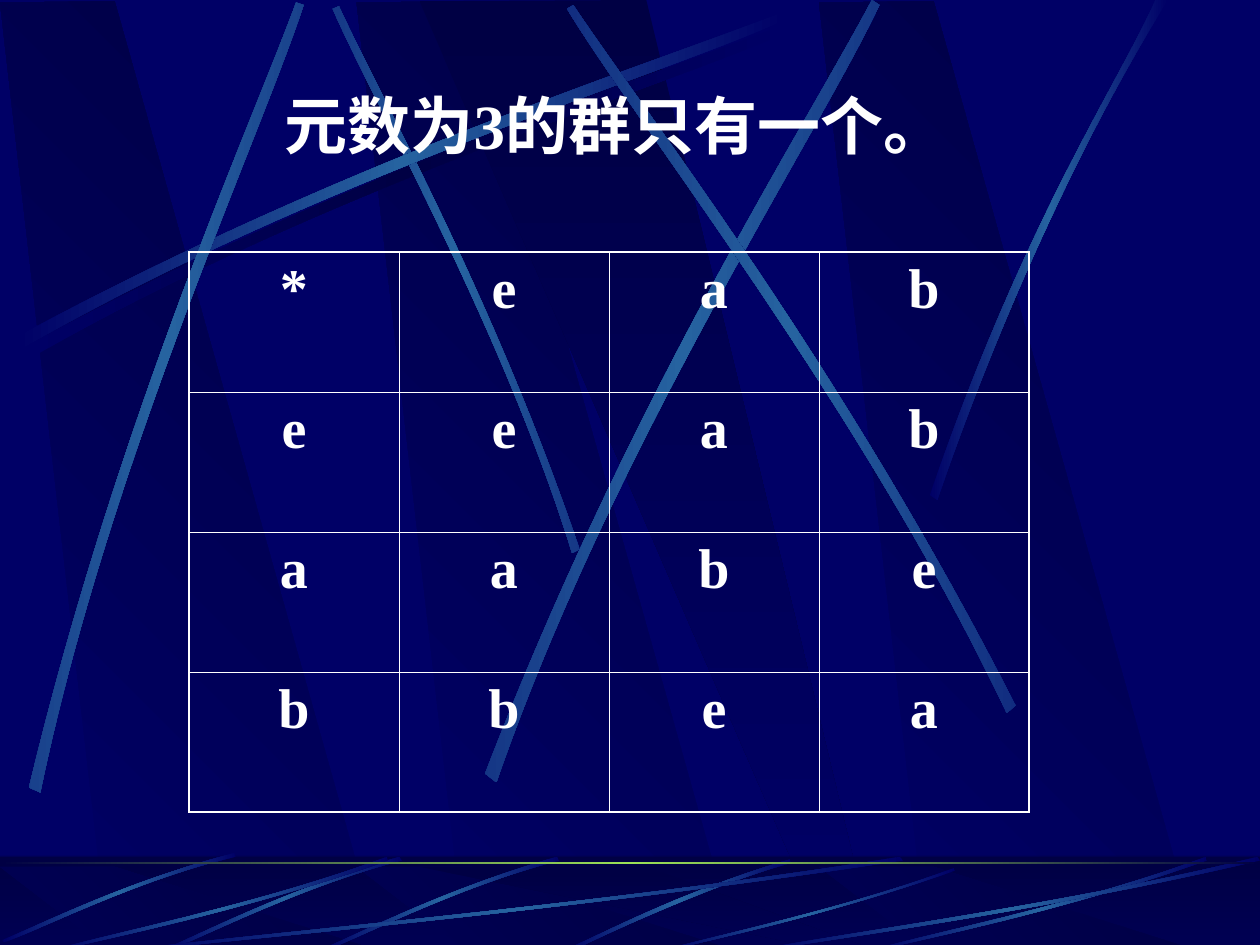
from math import cos, radians, sin

from lxml import etree
from pptx import Presentation
from pptx.dml.color import RGBColor as RGB
from pptx.enum.shapes import MSO_SHAPE as SHAPE
from pptx.enum.text import MSO_AUTO_SIZE as AUTO, PP_ALIGN as ALIGN
from pptx.oxml import parse_xml
from pptx.oxml.ns import nsdecls, qn
from pptx.util import Inches, Pt

COLORS = {"blue": "000066", "dark": "000044", "streak": "2663A0",
          "lime": "9CE157", "white": "FFFFFF"}
FONT = "Times New Roman"
STREAK = ("blue", "streak", "blue")
FADE_OUT, FADE_IN = ("blue", "dark"), ("dark", "blue")


def shift(points, dx, dy=0):
    return [(x + dx, y + dy) for x, y in points]


def centre(points):
    """Centre of the bounding box."""
    return tuple((min(v) + max(v)) / 2 for v in zip(*points))


def turn(points, angle, pivot):
    """Rotate points clockwise about the pivot."""
    (cx, cy), c, s = pivot, cos(radians(angle)), sin(radians(angle))
    return [(cx + (x - cx) * c - (y - cy) * s, cy + (x - cx) * s + (y - cy) * c)
            for x, y in points]


def unrotated(points, rotation):
    """Outline that lands on the points once its shape is rotated about its own centre."""
    pivot = centre(points)
    flat = turn(points, -rotation, pivot)
    old = centre(flat)
    new = turn([old], rotation, pivot)[0]
    return shift(flat, new[0] - old[0], new[1] - old[1])


class SlideBuilder:
    def __init__(self, slide):
        self.slide = slide
        self.shapes = slide.shapes

    def background(self, color):
        fill = self.slide.background.fill
        fill.solid()
        fill.fore_color.rgb = RGB.from_string(COLORS[color])

    def gradient(self, sp, colors, angle):
        """Fill with evenly spaced colours, angle clockwise in degrees."""
        step = 100000 // (len(colors) - 1)
        stops = "".join(f'<a:gs pos="{i * step}"><a:srgbClr val="{COLORS[c]}"/></a:gs>'
                        for i, c in enumerate(colors))
        grad = parse_xml(f'<a:gradFill rotWithShape="1" {nsdecls("a")}><a:gsLst>{stops}</a:gsLst>'
                         f'<a:lin ang="{round(angle * 60000)}" scaled="0"/></a:gradFill>')
        geometry = sp._element.spPr.find(qn("a:custGeom"))
        if geometry is None:
            geometry = sp._element.spPr.find(qn("a:prstGeom"))
        geometry.addnext(grad)
        sp.line.fill.background()
        sp.shadow.inherit = False

    def polygon(self, points, colors, angle=0):
        start, *rest = [(Inches(x), Inches(y)) for x, y in points]
        builder = self.shapes.build_freeform(*start)
        builder.add_line_segments(rest)
        sp = builder.convert_to_shape()
        self.gradient(sp, colors, angle)
        return sp

    def ribbon(self, points, rotation=0, colors=STREAK):
        """Two facing cubic curves (four points each); the gradient stays level."""
        sp = self.polygon(unrotated(points, rotation), colors, -rotation % 360)
        sp.rotation = rotation
        lines = sp._element.spPr.findall(".//" + qn("a:lnTo"))
        for first in (0, 4):
            curve = etree.Element(qn("a:cubicBezTo"))
            lines[first].addprevious(curve)
            for line in lines[first:first + 3]:
                curve.append(line[0])
                line.getparent().remove(line)

    def bar(self, top, height, colors, angle=0, alpha=None):
        """Full-width bar; one colour with alpha (percent), or a gradient."""
        sp = self.shapes.add_shape(SHAPE.RECTANGLE, 0, Inches(top), Inches(10), Inches(height))
        if alpha is None:
            self.gradient(sp, colors, angle)
            return
        sp.fill.solid()
        sp.fill.fore_color.rgb = RGB.from_string(COLORS[colors])
        color = sp._element.spPr.find(".//" + qn("a:srgbClr"))
        etree.SubElement(color, qn("a:alpha")).set("val", str(alpha * 1000))
        sp.line.fill.background()
        sp.shadow.inherit = False

    def run(self, p, text, size):
        r = p.add_run()
        r.text = text
        r.font.size, r.font.bold, r.font.name = Pt(size), True, FONT
        r.font.color.rgb = RGB.from_string(COLORS["white"])

    def title(self, left, top, width, height, text):
        box = self.shapes.add_textbox(Inches(left), Inches(top), Inches(width), Inches(height))
        tf = box.text_frame
        tf.word_wrap = False
        tf.auto_size = AUTO.SHAPE_TO_FIT_TEXT
        self.run(tf.paragraphs[0], text, 36)

    def borders(self, cell, widths):
        tc_pr = cell._tc.get_or_add_tcPr()
        for side, width in widths.items():
            tc_pr.append(parse_xml(
                f'<a:ln{side} w="{Pt(width)}" {nsdecls("a")}><a:solidFill>'
                f'<a:srgbClr val="{COLORS["white"]}"/></a:solidFill></a:ln{side}>'))

    def table(self, left, top, width, height, rows, outer=1.08, inner=0.45):
        n_rows, n_cols = len(rows), len(rows[0])
        table = self.shapes.add_table(n_rows, n_cols, Inches(left), Inches(top),
                                      Inches(width), Inches(height)).table
        table.first_row = table.horz_banding = False
        for i, row in enumerate(rows):
            for j, text in enumerate(row):
                cell = table.cell(i, j)
                edges = {"L": j == 0, "R": j == n_cols - 1, "T": i == 0, "B": i == n_rows - 1}
                self.borders(cell, {k: outer if edge else inner for k, edge in edges.items()})
                cell.fill.background()
                p = cell.text_frame.paragraphs[0]
                p.alignment = ALIGN.CENTER
                self.run(p, text, 32)


def draw_panels(s, panel, wedge):
    for dx in (2.83, 0, 6.5):
        s.polygon(shift(panel, dx), FADE_OUT, 315)
    s.polygon(wedge, FADE_IN, 90)


def draw_upper_streaks(s):
    long_streak = [(0.14, 2.67), (2.78, 1.25), (5.18, 0.51), (6.2, 0.1),
                   (6.23, 0.16), (5.22, 0.61), (2.48, 1.43), (0.17, 2.77)]
    s.ribbon(shift(long_streak, 0.06, 0.08), colors=("blue", "dark", "blue"))
    s.ribbon([(4.6, 4.36), (3.91, 2.34), (3.02, 0.77), (2.69, 0.05),
              (2.64, 0.07), (2.95, 0.79), (3.98, 2.58), (4.54, 4.39)], 45)
    s.ribbon(long_streak)
    s.ribbon([(0.23, 6.25), (0.93, 3.34), (1.97, 1.05), (2.35, 0.02),
              (2.41, 0.04), (2.07, 1.08), (0.86, 3.68), (0.32, 6.29)], 311.7)
    s.ribbon([(3.85, 6.14), (4.98, 3.2), (6.38, 1.02), (6.92, 0),
              (6.98, 0.04), (6.49, 1.08), (4.86, 3.55), (3.94, 6.21)], 321.6)
    s.ribbon([(8.06, 5.6), (6.7, 2.93), (5.16, 0.95), (4.55, 0.04),
              (4.5, 0.07), (5.07, 1.01), (6.85, 3.25), (7.99, 5.66)], 34.8)
    s.ribbon([(7.38, 3.93), (8.14, 1.73), (8.88, 0.66), (9.17, 0),
              (9.27, 0), (8.36, 1.45), (7.69, 3.22), (7.44, 3.97)])


def draw_floor_streaks(s):
    s.ribbon([(6.27, 6.82), (5.37, 7.09), (4.77, 7.42), (4.48, 7.54),
              (4.53, 7.55), (4.9, 7.37), (5.71, 7), (6.28, 6.85)])
    tilted = [(4.42, 6.8), (3.55, 7.05), (2.87, 7.4), (2.56, 7.53),
              (2.57, 7.55), (2.88, 7.43), (3.65, 7.03), (4.44, 6.83)]
    for dx in (0, -1.25):
        s.ribbon(shift(tilted, dx), 314.9)
    s.ribbon([(1.86, 6.77), (0.99, 7), (0.32, 7.34), (0.02, 7.46),
              (0.03, 7.48), (0.34, 7.37), (1.09, 6.98), (1.87, 6.8)], 314.9)
    s.ribbon([(7.17, 6.83), (4.49, 7.23), (2.06, 7.44), (1.03, 7.55),
              (1, 7.54), (2.02, 7.41), (4.8, 7.18), (7.14, 6.8)])
    short = [(3.08, 6.83), (1.93, 7.23), (0.88, 7.44), (0.43, 7.55),
             (0.42, 7.54), (0.86, 7.41), (2.06, 7.18), (3.07, 6.8)]
    s.ribbon(short)
    s.ribbon([(7.58, 6.91), (6.58, 7.26), (5.67, 7.45), (5.28, 7.55),
              (5.27, 7.54), (5.65, 7.43), (6.69, 7.22), (7.57, 6.89)])
    s.ribbon(shift(short, 6.5))
    s.ribbon([(10, 6.83), (8.27, 7.23), (6.69, 7.44), (6.02, 7.55),
              (6, 7.54), (6.66, 7.41), (8.46, 7.18), (9.98, 6.8)])


def main():
    prs = Presentation()
    prs.slide_width, prs.slide_height = Inches(10), Inches(7.5)
    s = SlideBuilder(prs.slides.add_slide(prs.slide_layouts[6]))
    s.background("blue")
    draw_panels(s, [(0.86, 7.51), (3.02, 7.53), (0.91, 0.01), (0, 0.02)],
                [(3.33, 0.01), (6.58, 7.51), (6.94, 7.51), (5.13, 0)])
    draw_upper_streaks(s)
    s.bar(6.8, 0.75, FADE_IN, 90)
    draw_panels(s, [(0.86, 7.54), (3.02, 7.55), (0.91, 6.88), (0, 6.88)],
                [(3.33, 6.88), (6.58, 7.54), (6.94, 7.54), (5.13, 6.88)])
    s.bar(6.79, 0.75, "dark", alpha=50)
    draw_floor_streaks(s)
    s.bar(6.84, 0.02, ("dark", "lime", "dark"))
    s.table(1.5, 2, 20 / 3, 40 / 9, ["*eab", "eeab", "aabe", "bbea"])
    s.title(2.16, 0.64, 5.69, 0.7, "元数为3的群只有一个。")
    prs.save("out.pptx")


if __name__ == "__main__":
    main()
